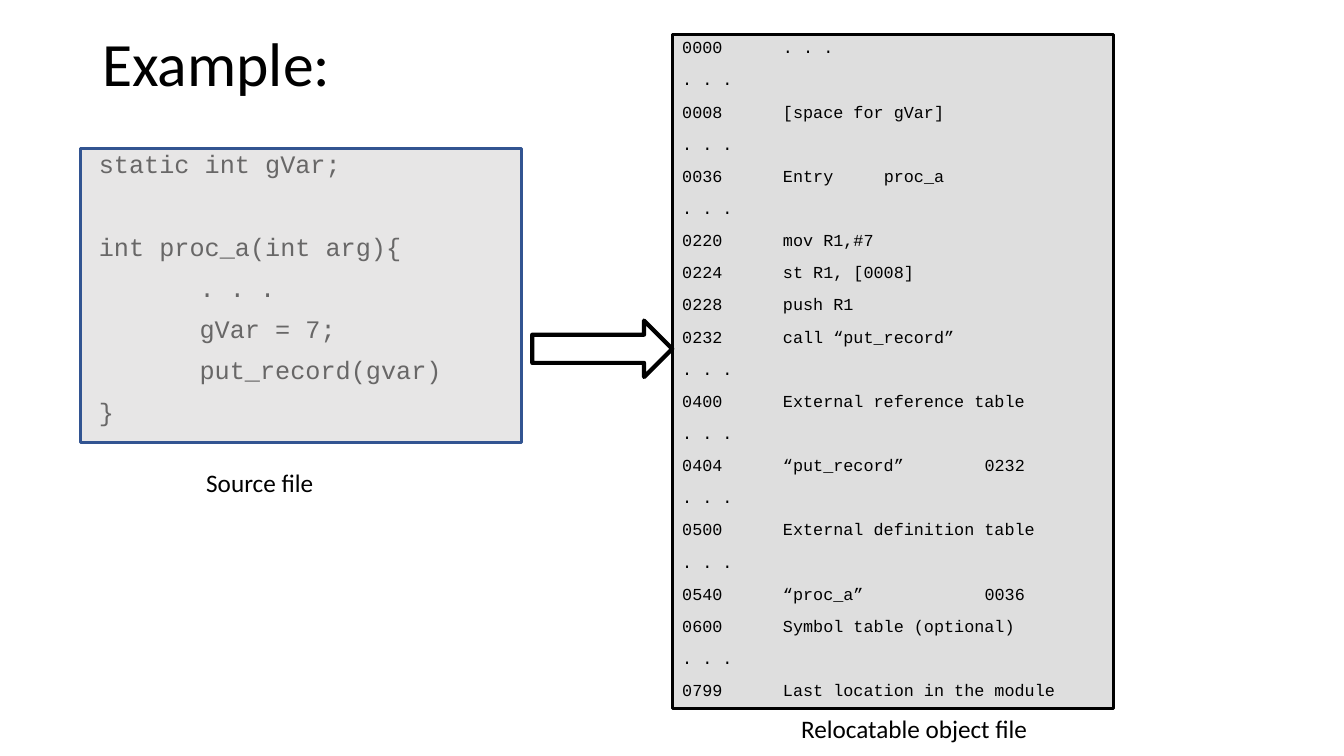
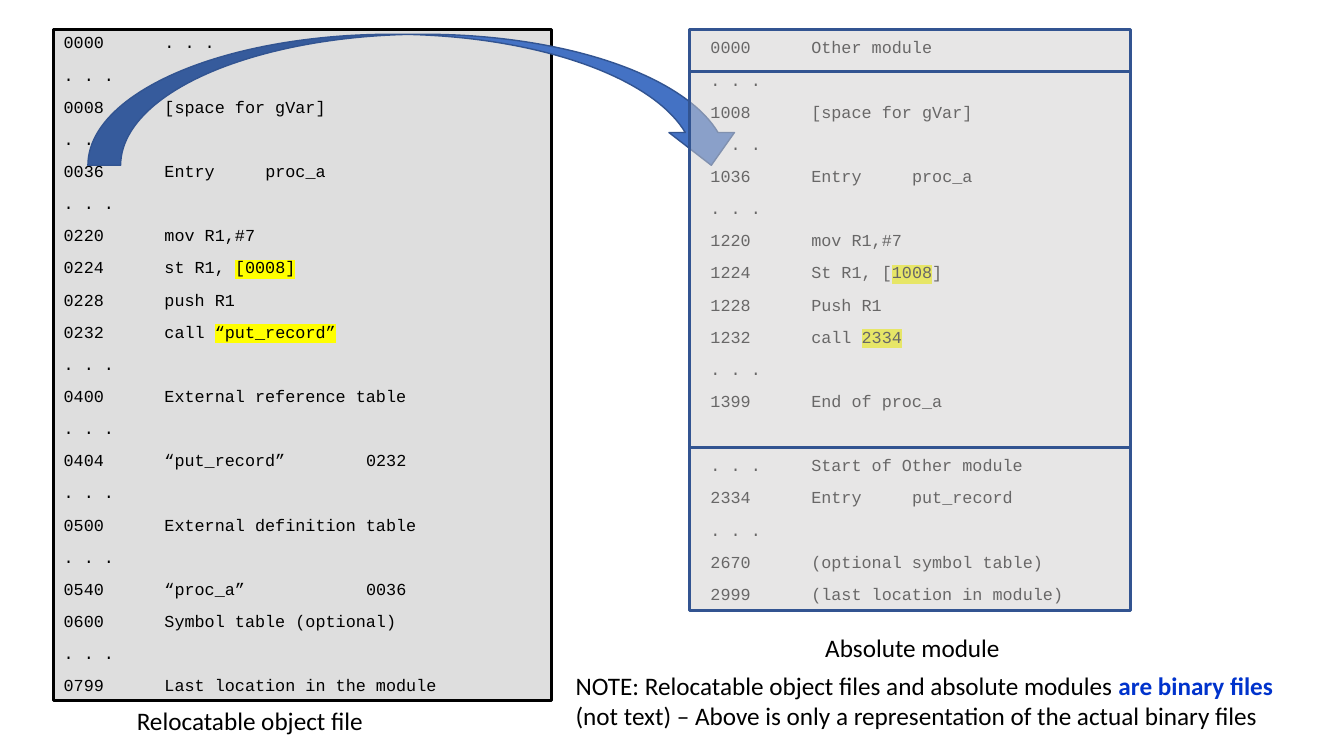
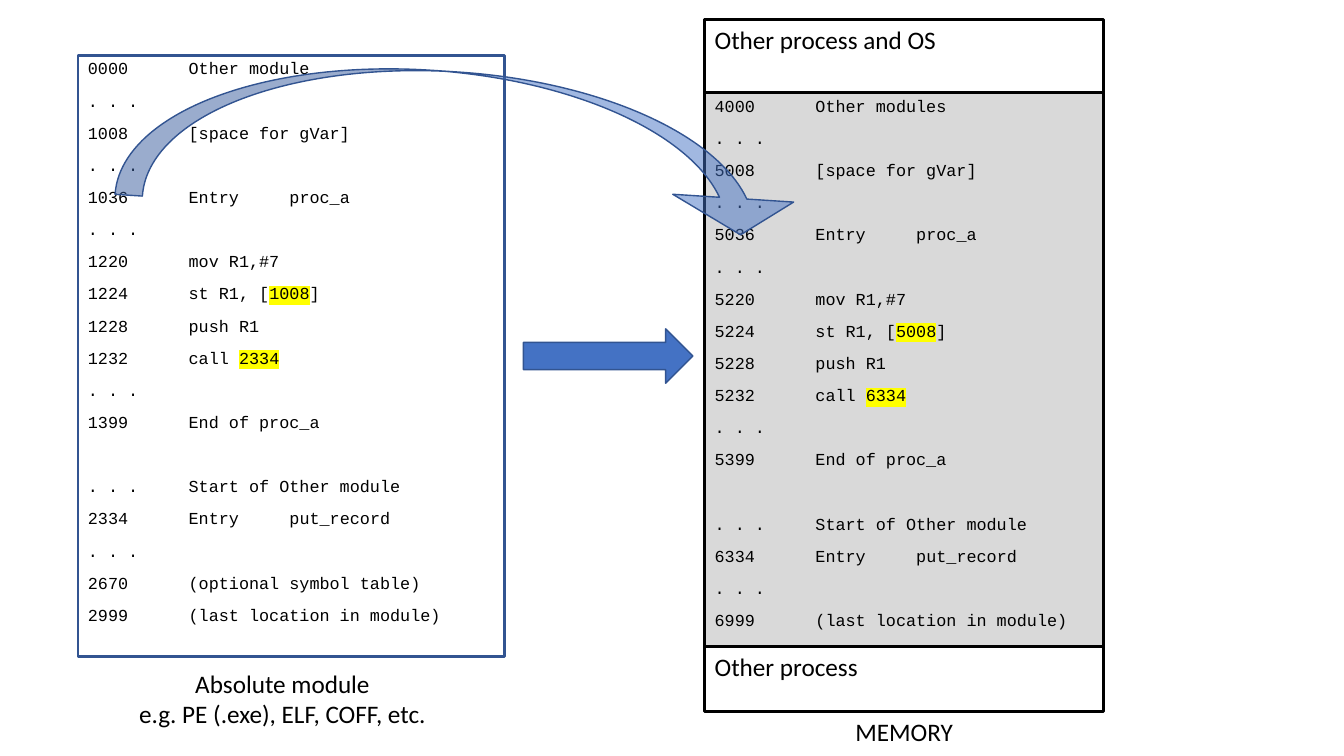
from lxml import etree
from pptx import Presentation
from pptx import util as u
from pptx.dml import color
from pptx.enum import shapes, text
from pptx.oxml import ns

COLORS = {
    "black": "000000",
    "accent": "4472C4",
    "outline": "325491",
    "module": "BFBFBF",
    "cover": "D0CECE",
    "memory": "D9D9D9",
    "marker": "FFFF00",
    "emphasis": "0033CC",
}

CODE = {"line_spacing": 0.9, "space_before": u.Pt(10)}
LEFT = {"alignment": text.PP_ALIGN.LEFT}
CENTER = {"alignment": text.PP_ALIGN.CENTER}

STYLES = {
    "title": {"font": {"name": "Calibri", "size": u.Pt(44)}, "paragraph": {**LEFT, "line_spacing": 0.9}},
    "label": {"font": {"name": "Calibri", "size": u.Pt(18)}, "paragraph": LEFT},
    "caption": {"font": {"name": "Calibri", "size": u.Pt(18)}, "paragraph": CENTER},
    "source": {"font": {"name": "Courier New", "size": u.Pt(18)}, "paragraph": {**LEFT, **CODE}, "gap": 39.5},
    "code": {"font": {"name": "Courier New", "size": u.Pt(12)}, "paragraph": {**LEFT, **CODE}, "gap": 33},
}

CAPTION_WIDTH = 239
TAB_STOPS = (72, 144, 216)
DOTS = ". . ."

SOURCE_LINES = [
    "static int gVar;",
    "\nint proc_a(int arg){",
    "\t. . .",
    "\tgVar = 7;",
    "\tput_record(gvar)",
    "}",
]

RELOCATABLE_LINES = [
    "0000\t. . .",
    DOTS,
    "0008\t[space for gVar]",
    DOTS,
    "0036\tEntry\tproc_a",
    DOTS,
    "0220\tmov R1,#7",
    "0224\tst R1, |[0008]|",
    "0228\tpush R1",
    "0232\tcall |“put_record”|",
    DOTS,
    "0400\tExternal reference table",
    DOTS,
    "0404\t“put_record”\t0232",
    DOTS,
    "0500\tExternal definition table",
    DOTS,
    "0540\t“proc_a”\t\t0036",
    "0600\tSymbol table (optional)",
    DOTS,
    "0799\tLast location in the module",
]


def loaded_lines(base=0, first="Other module", store="st", push="push", symbols=True):
    symbol_lines = [f"{base + 2670}\t(optional symbol table)"] if symbols else []
    return [
        f"{base:04d}\t{first}",
        DOTS,
        f"{base + 1008}\t[space for gVar]",
        DOTS,
        f"{base + 1036}\tEntry\tproc_a",
        DOTS,
        f"{base + 1220}\tmov R1,#7",
        f"{base + 1224}\t{store} R1, [|{base + 1008}|]",
        f"{base + 1228}\t{push} R1",
        f"{base + 1232}\tcall |{base + 2334}|",
        DOTS,
        f"{base + 1399}\tEnd of proc_a",
        "\n. . .\tStart of Other module",
        f"{base + 2334}\tEntry\tput_record",
        DOTS,
        *symbol_lines,
        f"{base + 2999}\t(last location in module)",
    ]


def rgb(name):
    return color.RGBColor.from_string(COLORS[name])


def apply_format(target, values):
    for name, value in values.items():
        setattr(target, name, value)


def highlight(run):
    marker = etree.Element(ns.qn("a:highlight"))
    etree.SubElement(marker, ns.qn("a:srgbClr"), val=COLORS["marker"])
    run._r.get_or_add_rPr().find(ns.qn("a:latin")).addprevious(marker)


def emphasize(run):
    run.font.bold = True
    run.font.color.rgb = rgb("emphasis")


def add_tab_stops(paragraph):
    tab_list = etree.SubElement(paragraph._p.get_or_add_pPr(), ns.qn("a:tabLst"))
    for position in TAB_STOPS:
        etree.SubElement(tab_list, ns.qn("a:tab"), pos=str(u.Pt(position)), algn="l")


def write(shape, lines, style_name, mark=highlight, anchor=text.MSO_ANCHOR.TOP):
    style = STYLES[style_name]
    frame = shape.text_frame
    apply_format(frame, {"word_wrap": True, "vertical_anchor": anchor})
    for number, line in enumerate(lines):
        paragraph = frame.add_paragraph() if number else frame.paragraphs[0]
        apply_format(paragraph, style["paragraph"])
        if line.startswith("\n"):
            paragraph.space_before = u.Pt(style["gap"])
        if "\t" in line:
            add_tab_stops(paragraph)
        for index, part in enumerate(line.lstrip("\n").split("|")):
            if not part:
                continue
            run = paragraph.add_run()
            run.text = part
            run.font.color.rgb = rgb("black")
            apply_format(run.font, style["font"])
            if index % 2:
                mark(run)


def add_text(slide, box, lines, style_name, **options):
    shape = slide.shapes.add_textbox(*map(u.Pt, box))
    write(shape, lines, style_name, **options)


def add_figure(slide, kind, box, line, width, fill=None, opacity=100):
    shape = slide.shapes.add_shape(kind, *map(u.Pt, box))
    shape.shadow.inherit = False
    if fill:
        shape.fill.solid()
        shape.fill.fore_color.rgb = rgb(fill)
        if opacity < 100:
            fill_color = shape.element.spPr.find(".//" + ns.qn("a:srgbClr"))
            etree.SubElement(fill_color, ns.qn("a:alpha"), val=str(opacity * 1000))
    else:
        shape.fill.background()
    shape.line.color.rgb = rgb(line)
    shape.line.width = u.Pt(width)
    return shape


def add_panel(slide, box, line, fill=None, opacity=100, lines=(), style_name="code"):
    panel = add_figure(slide, shapes.MSO_SHAPE.RECTANGLE, box, line, 2, fill, opacity)
    write(panel, lines, style_name)


def add_stack(slide, left, top, width, panels):
    for height, options in panels:
        add_panel(slide, (left, top, width, height), **options)
        top += height


def relocatable_file(slide, box, lines, caption_shift):
    left, top, width, height = box
    add_panel(slide, box, "black", "module", 50, lines)
    caption = (left + caption_shift, top + height, CAPTION_WIDTH, 29)
    add_text(slide, caption, ["Relocatable object file"], "caption")


def source_file(slide, box):
    left, top, width, height = box
    add_text(slide, (left + 5.7, top - 0.9, 303, height), SOURCE_LINES, "source")
    add_panel(slide, box, "outline", "cover", 50)
    add_text(slide, (left + 46.7, top + height + 13.9, 162, 29), ["Source file"], "caption")


def absolute_module(slide, box):
    left, top, width, height = box
    add_panel(slide, box, "outline", lines=loaded_lines())
    caption = (left + 26.6, top + height + 5.2, CAPTION_WIDTH, 51)
    add_text(slide, caption, ["Absolute module", "e.g. PE (.exe), ELF, COFF, etc."], "caption")


def covered_module(slide, box):
    left, top, width, height = box
    cover = {"line": "outline", "fill": "cover", "opacity": 50}
    heights = (30.2, 268.6, height - 298.8)
    add_stack(slide, left, top, width, [(part, cover) for part in heights])
    caption = (left + 39.6, top + height + 11.5, CAPTION_WIDTH, 29)
    add_text(slide, caption, ["Absolute module"], "caption")


def memory_map(slide, box):
    left, top, width, height = box
    process = {"line": "black", "style_name": "label"}
    modules = {
        "line": "black",
        "fill": "memory",
        "lines": loaded_lines(4000, "Other modules", symbols=False),
    }
    add_stack(slide, left, top, width, [
        (52.6, {**process, "lines": ["Other process and OS"]}),
        (height - 99.4, modules),
        (46.8, {**process, "lines": ["Other process"]}),
    ])
    add_text(slide, (left + 23, top + height, CAPTION_WIDTH, 29), ["MEMORY"], "caption")


def compile_slide(slide):
    add_text(slide, (66, 0, 828, 95), ["Example:"], "title", anchor=text.MSO_ANCHOR.MIDDLE)
    source_file(slide, (57.8, 105.9, 314.6, 210.2))
    plain_lines = [line.replace("|", "") for line in RELOCATABLE_LINES]
    relocatable_file(slide, (480.2, 24.5, 315.4, 481.7), plain_lines, 53.3)
    add_figure(slide, shapes.MSO_SHAPE.RIGHT_ARROW, (380.2, 229, 100, 40.3), "black", 3)


def link_slide(slide):
    relocatable_file(slide, (38.4, 21.1, 355.7, 479.5), RELOCATABLE_LINES, 20.6)
    add_text(slide, (500.4, 24.6, 308.2, 417.6), loaded_lines(store="St", push="Push"), "code")
    add_figure(
        slide, shapes.MSO_SHAPE.CURVED_DOWN_ARROW, (62.8, 24.5, 468.7, 93.6), "outline", 1, "accent"
    )
    covered_module(slide, (492.7, 20.9, 314.6, 415.4))
    note = (
        "NOTE: Relocatable object files and absolute modules |are binary files|"
        " (not text) – Above is only a representation of the actual binary files"
    )
    add_text(slide, (404.1, 475.4, 529.9, 51), [note], "label", mark=emphasize)


def load_slide(slide):
    absolute_module(slide, (55.7, 39.6, 304.6, 429.1))
    memory_map(slide, (503.4, 13.7, 285.1, 494.7))
    add_figure(
        slide, shapes.MSO_SHAPE.RIGHT_ARROW, (373.9, 234.9, 121, 38.9), "outline", 1, "accent"
    )
    curve = add_figure(
        slide, shapes.MSO_SHAPE.CURVED_DOWN_ARROW, (85, 51.8, 491, 103), "outline", 1, "accent", 50
    )
    curve.rotation = 3.7
    for index, value in enumerate((0.19, 0.84, 0.25)):
        curve.adjustments[index] = value


def main():
    presentation = Presentation()
    apply_format(presentation, {"slide_width": u.Pt(960), "slide_height": u.Pt(540)})
    for build in (compile_slide, link_slide, load_slide):
        build(presentation.slides.add_slide(presentation.slide_layouts[6]))
    presentation.save("out.pptx")


if __name__ == "__main__":
    main()
